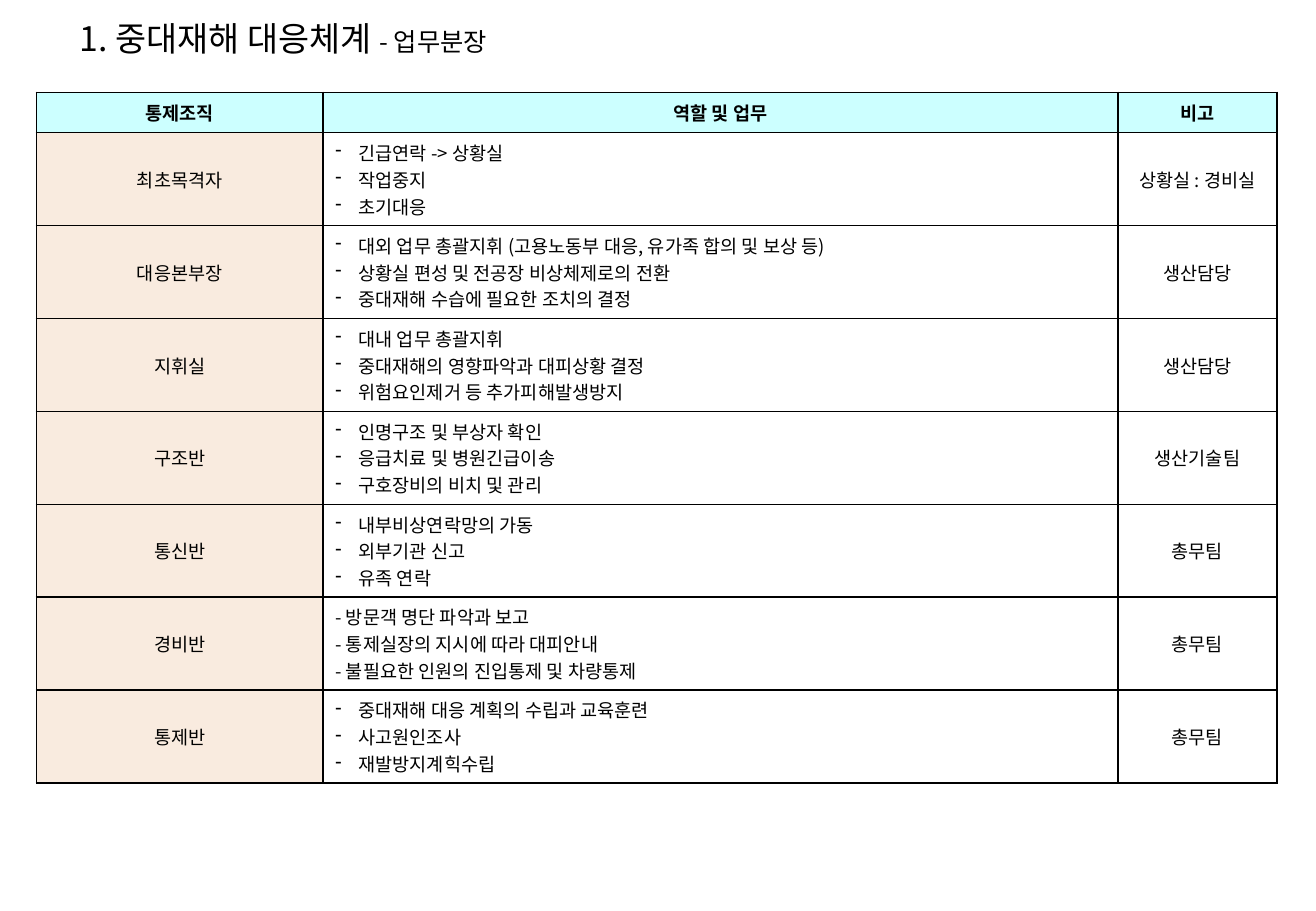
from lxml import etree
from pptx import Presentation, util as u
from pptx.dml.color import RGBColor
from pptx.enum import text
from pptx.oxml import ns

FONT = "Noto Sans CJK KR"
INK, HEADER_FILL, TEAM_FILL = "000000", "CCFFFF", "F9EBDF"
TITLE_BOX = (1.02, 1.07, 41, 6.27)
TABLE_BOX = (2.77, 10.13, 94.27, 75.33)
COLUMN_SHARES = (2.36, 6.54, 1.31)
HEADER_SHARE, TEAM_SHARE = 0.33, 0.76
HANGING = u.Inches(0.19)
HEADINGS = ("통제조직", "역할 및 업무", "비고")
TEAMS = (
    ("최초목격자", ("긴급연락 -> 상황실", "작업중지", "초기대응"), "상황실 : 경비실"),
    ("대응본부장", ("대외 업무 총괄지휘 (고용노동부 대응, 유가족 합의 및 보상 등)",
               "상황실 편성 및 전공장 비상체제로의 전환",
               "중대재해 수습에 필요한 조치의 결정"), "생산담당"),
    ("지휘실", ("대내 업무 총괄지휘", "중대재해의 영향파악과 대피상황 결정",
             "위험요인제거 등 추가피해발생방지"), "생산담당"),
    ("구조반", ("인명구조 및 부상자 확인", "응급치료 및 병원긴급이송",
             "구호장비의 비치 및 관리"), "생산기술팀"),
    ("통신반", ("내부비상연락망의 가동", "외부기관 신고", "유족 연락"), "총무팀"),
    ("경비반", ("- 방문객 명단 파악과 보고", "- 통제실장의 지시에 따라 대피안내",
             "- 불필요한 인원의 진입통제 및 차량통제"), "총무팀"),
    ("통제반", ("중대재해 대응 계획의 수립과 교육훈련", "사고원인조사",
             "재발방지계힉수립"), "총무팀"),
)


def color(value):
    """Turn a hex string into a colour."""
    return RGBColor.from_string(value)


def set_values(target, values):
    """Set each attribute named in a dict of format values."""
    for name, value in values.items():
        setattr(target, name, value)


def place(presentation, box):
    """Turn a box in percent of the slide into lengths."""
    sizes = (presentation.slide_width, presentation.slide_height) * 2
    return [round(size * share / 100) for size, share in zip(sizes, box)]


def add_run(paragraph, wording, size, bold=False):
    """Add a run in the slide's font, for Latin and Korean letters."""
    run = paragraph.add_run()
    run.text = wording
    set_values(run.font, {"name": FONT, "size": u.Pt(size), "bold": bold})
    run.font.color.rgb = color(INK)
    etree.SubElement(run.font._element, ns.qn("a:ea"), typeface=FONT)


def add_dash(paragraph):
    """Give a paragraph a hanging dash bullet."""
    properties = paragraph._p.get_or_add_pPr()
    properties.set("marL", str(HANGING))
    properties.set("indent", str(-HANGING))
    etree.SubElement(properties, ns.qn("a:buChar"), char="-")


def add_borders(cell):
    """Draw a thin line on all sides of a cell."""
    properties = cell._tc.get_or_add_tcPr()
    for side in ("lnL", "lnR", "lnT", "lnB"):
        line = etree.SubElement(properties, ns.qn(f"a:{side}"), w=str(u.Pt(1)))
        fill = etree.SubElement(line, ns.qn("a:solidFill"))
        etree.SubElement(fill, ns.qn("a:srgbClr"), val=INK)


def fill_cell(cell, lines, fill=None, bold=False, centered=True):
    """Write the lines of a cell and format it."""
    cell.vertical_anchor = text.MSO_ANCHOR.MIDDLE
    add_borders(cell)
    if fill:
        cell.fill.solid()
        cell.fill.fore_color.rgb = color(fill)
    else:
        cell.fill.background()
    frame = cell.text_frame
    for index, line in enumerate(lines):
        paragraph = frame.add_paragraph() if index else frame.paragraphs[0]
        if centered:
            paragraph.alignment = text.PP_ALIGN.CENTER
        elif not line.startswith("-"):
            add_dash(paragraph)
        add_run(paragraph, line, 11, bold)


def add_title(slide, box):
    """Place the title and its smaller subtitle in the box."""
    title = slide.shapes.title
    set_values(title, dict(zip(("left", "top", "width", "height"), box)))
    set_values(title.text_frame, {
        "word_wrap": True,
        "auto_size": text.MSO_AUTO_SIZE.NONE,
        "vertical_anchor": text.MSO_ANCHOR.MIDDLE,
    })
    paragraph = title.text_frame.paragraphs[0]
    paragraph.alignment = text.PP_ALIGN.CENTER
    add_run(paragraph, "1. 중대재해 대응체계 ", 20)
    add_run(paragraph, "- 업무분장", 15)


def add_duties(slide, box):
    """Place the table of teams, duties and notes in the box."""
    left, top, width, height = box
    table = slide.shapes.add_table(
        len(TEAMS) + 1, len(HEADINGS), left, top, width, height).table
    set_values(table, {"first_row": False, "horz_banding": False})
    for column, share in zip(table.columns, COLUMN_SHARES):
        column.width = round(width * share / sum(COLUMN_SHARES))
    row_shares = [HEADER_SHARE] + [TEAM_SHARE] * len(TEAMS)
    for row, share in zip(table.rows, row_shares):
        row.height = round(height * share / sum(row_shares))
    for index, heading in enumerate(HEADINGS):
        fill_cell(table.cell(0, index), [heading], HEADER_FILL, bold=True)
    for index, (team, duties, note) in enumerate(TEAMS, 1):
        fill_cell(table.cell(index, 0), [team], TEAM_FILL)
        fill_cell(table.cell(index, 1), duties, centered=False)
        fill_cell(table.cell(index, 2), [note])


def main():
    """Build and save the presentation."""
    presentation = Presentation()
    set_values(presentation, {
        "slide_width": u.Inches(10.83), "slide_height": u.Inches(7.5)})
    slide = presentation.slides.add_slide(presentation.slide_layouts[5])
    add_title(slide, place(presentation, TITLE_BOX))
    add_duties(slide, place(presentation, TABLE_BOX))
    presentation.save("out.pptx")


if __name__ == "__main__":
    main()
